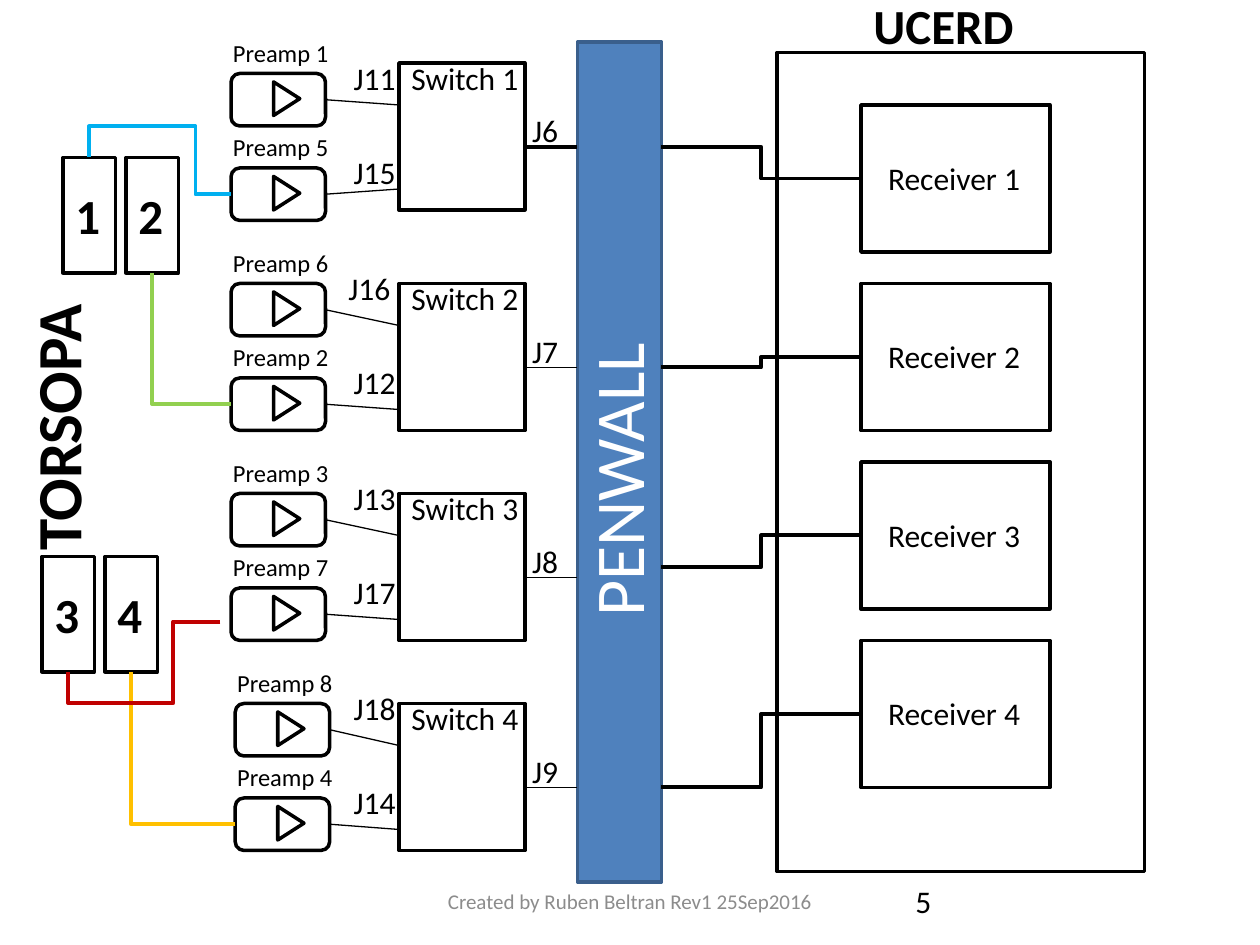
from lxml.etree import SubElement
from pptx import Presentation
from pptx.dml.color import RGBColor
from pptx.enum.shapes import MSO_CONNECTOR as Link, MSO_SHAPE as Kind
from pptx.enum.text import MSO_ANCHOR as Anchor, MSO_AUTO_SIZE as Fit, PP_ALIGN as Align
from pptx.oxml.ns import qn
from pptx.util import Inches, Pt

# Content: switch row, its preamps with their jacks, and the output jack
SWITCHES = [
    ("Switch 1", [("Preamp 1", "J11"), ("Preamp 5", "J15")], "J6"),
    ("Switch 2", [("Preamp 6", "J16"), ("Preamp 2", "J12")], "J7"),
    ("Switch 3", [("Preamp 3", "J13"), ("Preamp 7", "J17")], "J8"),
    ("Switch 4", [("Preamp 8", "J18"), ("Preamp 4", "J14")], "J9"),
]
RECEIVERS = ["Receiver 1", "Receiver 2", "Receiver 3", "Receiver 4"]
INPUTS = [("1", 6, 15), ("2", 12, 15), ("3", 4, 53), ("4", 10, 53)]

# Grid of 120 columns by 90 rows; all places below are in grid cells
COLUMNS, ROWS = 120, 90
CELL = Inches(10) / COLUMNS
SWITCH_TOPS = [6, 27, 47, 67]
PREAMP_TOPS = [7, 27, 47, 67]
PREAMP_LEFTS = [22, 22, 22, 22.4]
PREAMP_STEP = 9
WALL_EXITS = [14, 35, 54, 75]
RECEIVER_TOP, RECEIVER_STEP = 10, 17

# Input cables: start, end, preset, adjustments, colour
CABLES = [
    ((22.4, 78.5), (12.5, 64), "bentConnector2", [], "amber"),
    ((22, 38.5), (14.5, 26), "bentConnector2", [], "green"),
    ((22, 18.5), (8.5, 15), "bentConnector4", [0.25, 1.85], "blue"),
    ((21, 59.2), (6.5, 64), "bentConnector4", [0.31, 1.62], "red"),
]

THEME = {
    "font": "Calibri",
    "black": "000000", "white": "FFFFFF", "grey": "8C8C8C",
    "wall": "4F81BD", "wall_edge": "3A5F8C",
    "amber": "FFC000", "green": "92D050", "blue": "00B0F0", "red": "C00000",
    "footer": 12, "small": 14, "body": 18, "heading": 28, "side": 36, "wall_text": 40,
    "outline": 2, "cable": 2.25, "thin": 0.75,
}

deck = Presentation()
deck.slide_width, deck.slide_height = round(CELL * COLUMNS), round(CELL * ROWS)
page = deck.slides.add_slide(deck.slide_layouts[6])


def cells(*values):
    return [round(value * CELL) for value in values]


def colour(name):
    return RGBColor.from_string(THEME[name])


def add_box(kind, left, top, width, height, fill=None, edge="black"):
    box = page.shapes.add_shape(kind, *cells(left, top, width, height))
    box.shadow.inherit = False
    if fill:
        box.fill.solid()
        box.fill.fore_color.rgb = colour(fill)
    else:
        box.fill.background()
    box.line.color.rgb = colour(edge)
    box.line.width = Pt(THEME["outline"])
    return box


def add_label(text, left, top, width, height, size="body", ink="black", bold=False,
              rotation=0, wrap=False, fit=Fit.SHAPE_TO_FIT_TEXT,
              anchor=Anchor.TOP, align=Align.LEFT):
    box = page.shapes.add_textbox(*cells(left, top, width, height))
    box.rotation = rotation
    frame = {"word_wrap": wrap, "auto_size": fit, "vertical_anchor": anchor}
    for name, value in frame.items():
        setattr(box.text_frame, name, value)
    para = box.text_frame.paragraphs[0]
    para.alignment = align
    span = para.add_run()
    span.text = text
    style = {"name": THEME["font"], "size": Pt(THEME[size]), "bold": bold}
    for name, value in style.items():
        setattr(span.font, name, value)
    span.font.color.rgb = colour(ink)


def add_wire(start, end, width="thin", ink="black", preset=None, adjustments=()):
    kind = Link.ELBOW if preset else Link.STRAIGHT
    wire = page.shapes.add_connector(kind, *cells(*start, *end))
    wire.line.color.rgb = colour(ink)
    wire.line.width = Pt(THEME[width])
    properties = wire._element.spPr
    SubElement(properties, qn("a:effectLst"))
    if preset:
        geometry = properties.find(qn("a:prstGeom"))
        geometry.set("prst", preset)
        guides = geometry.find(qn("a:avLst"))
        for number, share in enumerate(adjustments, 1):
            SubElement(guides, qn("a:gd"), name=f"adj{number}",
                       fmla=f"val {round(share * 100000)}")
    return wire


# Torso inputs
add_label("TORSOPA", -7.9, 36.1, 26.6, 8.5, "side", bold=True, rotation=270, wrap=True)
for name, left, top in INPUTS:
    add_box(Kind.RECTANGLE, left, top, 5, 11)
    add_label(name, left, top + 2.1, 4.8, 6.8, "heading", bold=True)

# Penetration wall
add_box(Kind.RECTANGLE, 55, 4, 8, 80, "wall", "wall_edge")
add_label("PENWALL", 43.2, 39.8, 31, 9.2, "wall_text", "white", rotation=270, wrap=True)

# Switches, each fed by two preamps
for row, (name, preamps, output) in enumerate(SWITCHES):
    switch_top, left = SWITCH_TOPS[row], PREAMP_LEFTS[row]
    add_box(Kind.RECTANGLE, 38, switch_top, 12, 14)
    add_label(name, 38, switch_top - 1, 12.7, 4.8)
    add_label(output, 49.5, switch_top + 4, 4.9, 4.8)
    add_wire((50, switch_top + 8), (55, switch_top + 8), "thin" if row else "cable")
    for place, (preamp, jack) in enumerate(preamps):
        top = PREAMP_TOPS[row] + place * PREAMP_STEP
        add_label(preamp, left - 1, top - 4, 11.6, 4.1, "small")
        triangle = add_box(Kind.ISOSCELES_TRIANGLE, left + 3.7, top + 1.15, 3.2, 2.5)
        triangle.rotation = 90
        body = add_box(Kind.ROUNDED_RECTANGLE, left, top, 9, 5)
        add_label(jack, 32 if jack == "J16" else 32.5, top - 2, 6.5, 4.8)
        wire = add_wire((left + 9, top + 2.5), (38, switch_top + 4 + 8 * place))
        wire.begin_connect(body, 3)

# Receiver cabinet
add_box(Kind.RECTANGLE, 74, 5, 35, 78)
add_label("UCERD", 82, -1, 16, 6.8, "heading", bold=True)
for row, (name, exit_row) in enumerate(zip(RECEIVERS, WALL_EXITS)):
    top = RECEIVER_TOP + row * RECEIVER_STEP
    add_box(Kind.RECTANGLE, 82, top, 18, 14)
    add_label(name, 83.4, top + 4.55, 15.1, 4.8)
    add_wire((63, exit_row), (82, top + 7), "cable", preset="bentConnector3",
             adjustments=[0.5])

# Coloured input cables
for start, end, preset, adjustments, ink in CABLES:
    add_wire(start, end, "cable", ink, preset, adjustments)

# Footer
add_label("Created by Ruben Beltran Rev1 25Sep2016", 41, 83.4, 38, 4.8, "footer", "grey",
          wrap=True, fit=Fit.NONE, anchor=Anchor.MIDDLE, align=Align.CENTER)
add_label("5", 86, 83.4, 28, 4.8, wrap=True, fit=Fit.NONE)

deck.save("out.pptx")
